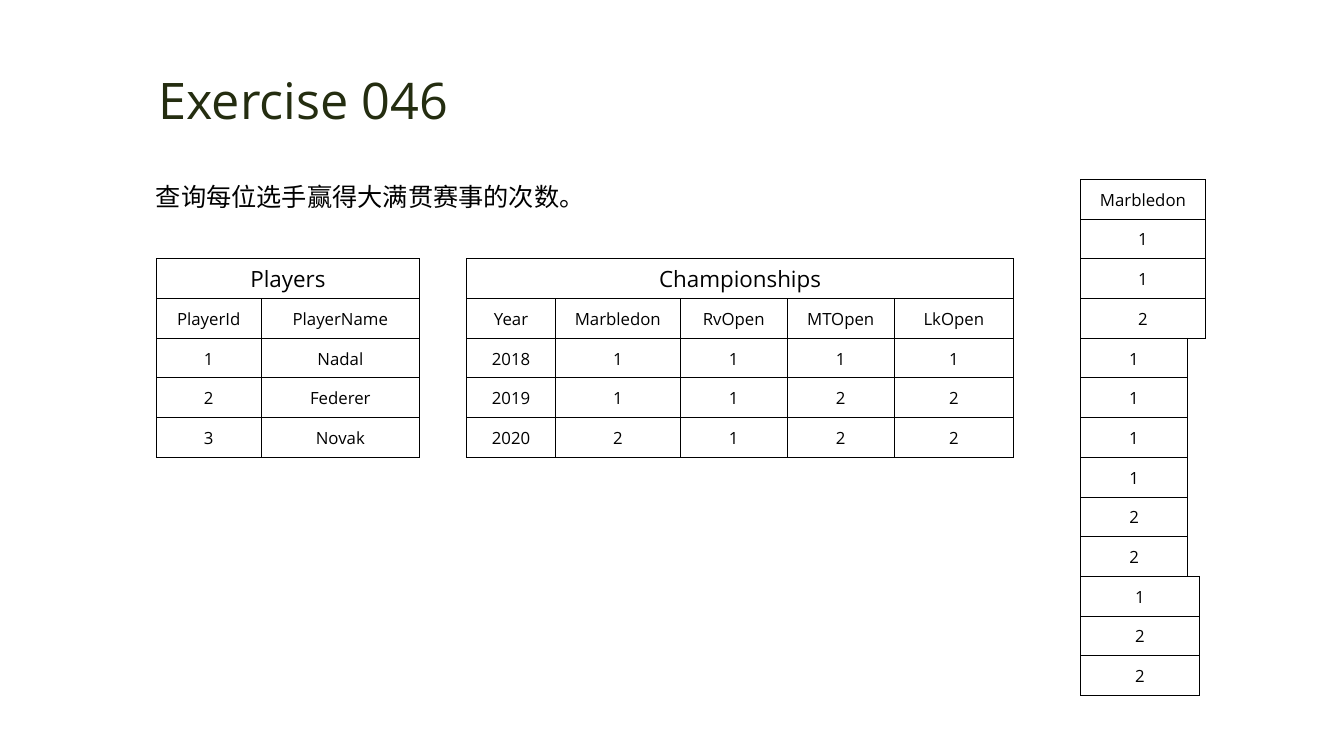
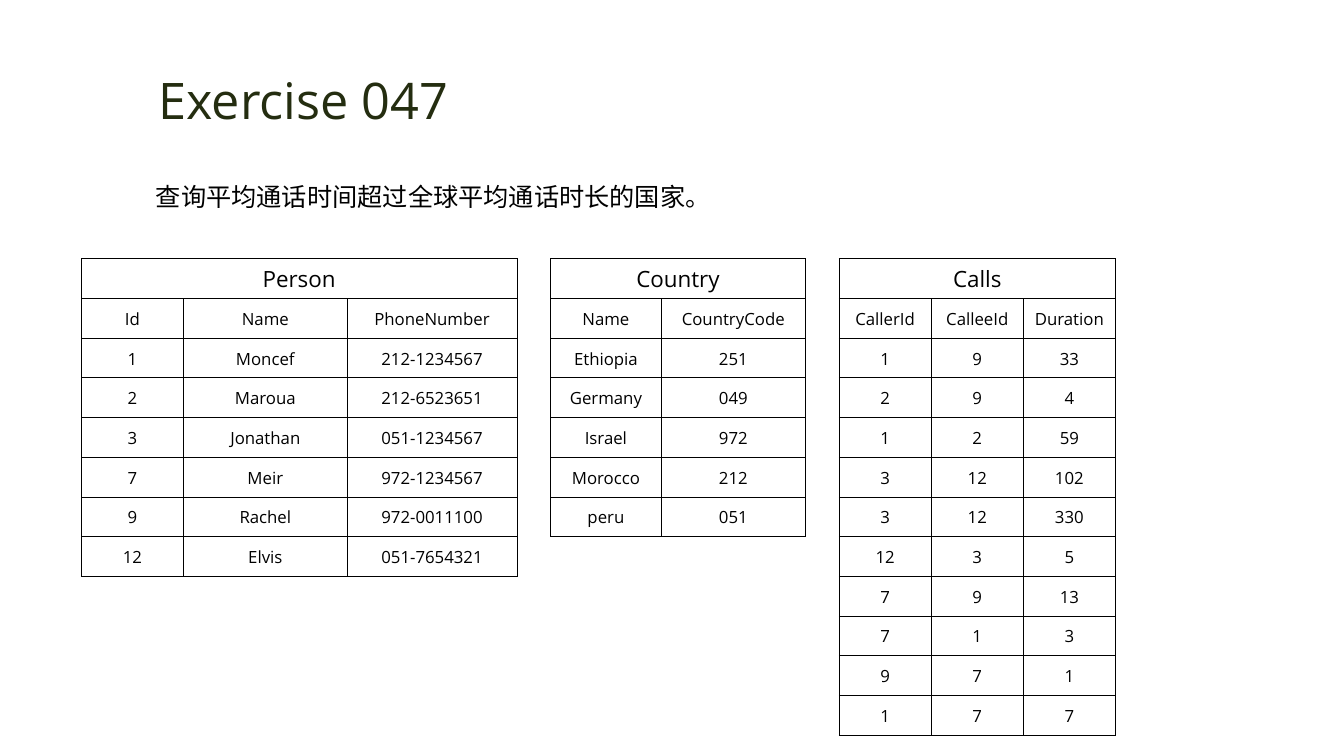
"""Build two SQL exercise slides with their sample tables."""
from lxml.etree import fromstring
from pptx import Presentation
from pptx.dml.color import RGBColor
from pptx.enum.text import MSO_ANCHOR, MSO_AUTO_SIZE, PP_ALIGN
from pptx.oxml.ns import nsdecls
from pptx.util import Cm, Inches, Pt

FONT = "Open Sans"
OLIVE = RGBColor(0x24, 0x2D, 0x10)
BLACK = RGBColor(0, 0, 0)
GRID = Cm(1)
TABLE_TOP = 6.52
BORDER_WIDTH = Pt(0.5)
CELL_INSET = Inches(0.01)

PLAYERS = [
    ("PlayerId", "PlayerName"),
    ("1", "Nadal"),
    ("2", "Federer"),
    ("3", "Novak"),
]
CHAMPIONSHIPS = [
    ("Year", "Marbledon", "RvOpen", "MTOpen", "LkOpen"),
    ("2018", "1", "1", "1", "1"),
    ("2019", "1", "1", "2", "2"),
    ("2020", "2", "1", "2", "2"),
]
PERSON = [
    ("Id", "Name", "PhoneNumber"),
    ("1", "Moncef", "212-1234567"),
    ("2", "Maroua", "212-6523651"),
    ("3", "Jonathan", "051-1234567"),
    ("7", "Meir", "972-1234567"),
    ("9", "Rachel", "972-0011100"),
    ("12", "Elvis", "051-7654321"),
]
COUNTRY = [
    ("Name", "CountryCode"),
    ("Ethiopia", "251"),
    ("Germany", "049"),
    ("Israel", "972"),
    ("Morocco", "212"),
    ("peru", "051"),
]
CALLS = [
    ("CallerId", "CalleeId", "Duration"),
    ("1", "9", "33"),
    ("2", "9", "4"),
    ("1", "2", "59"),
    ("3", "12", "102"),
    ("3", "12", "330"),
    ("12", "3", "5"),
    ("7", "9", "13"),
    ("7", "1", "3"),
    ("9", "7", "1"),
    ("1", "7", "7"),
]
CHAMPIONSHIP_WIDTHS = (2.23, 3.15, 2.69, 2.7, 3)


def cells(count):
    """Turn a number of grid units into a length."""
    return round(count * GRID)


def write(frame, text, size=12, color=BLACK, align=PP_ALIGN.CENTER, spacing=None):
    """Put formatted text into a text frame."""
    paragraph = frame.paragraphs[0]
    paragraph.alignment = align
    paragraph.line_spacing = spacing
    run = paragraph.add_run()
    run.text = text
    run.font.name = FONT
    run.font.size = Pt(size)
    run.font.color.rgb = color


def add_text(slide, place, text, wrap=True, **style):
    """Add a text box at a place given in grid units."""
    frame = slide.shapes.add_textbox(*map(cells, place)).text_frame
    frame.word_wrap = wrap
    frame.auto_size = MSO_AUTO_SIZE.SHAPE_TO_FIT_TEXT
    write(frame, text, **style)


def outline(cell):
    """Draw thin black borders round a cell and clear its fill."""
    cell.fill.background()
    properties = cell._tc.get_or_add_tcPr()
    for position, side in enumerate(("lnL", "lnR", "lnT", "lnB")):
        properties.insert(position, fromstring(
            f'<a:{side} {nsdecls("a")} w="{BORDER_WIDTH}"><a:solidFill>'
            f'<a:srgbClr val="{BLACK}"/></a:solidFill></a:{side}>'))


def add_data(slide, left, top, widths, rows, title=None):
    """Add a bordered table, with a merged title row if one is given."""
    if title:
        rows = [(title,) + ("",) * (len(widths) - 1), *rows]
    table = slide.shapes.add_table(
        len(rows), len(widths), cells(left), cells(top),
        cells(sum(widths)), cells(len(rows))).table
    table.first_row = table.horz_banding = False
    for column, width in zip(table.columns, widths):
        column.width = cells(width)
    if title:
        table.cell(0, 0).merge(table.cell(0, len(widths) - 1))
    for row_index, values in enumerate(rows):
        table.rows[row_index].height = cells(1)
        for column_index, value in enumerate(values):
            cell = table.cell(row_index, column_index)
            cell.vertical_anchor = MSO_ANCHOR.MIDDLE
            cell.margin_left = cell.margin_right = cell.margin_top = CELL_INSET
            cell.margin_bottom = 0
            outline(cell)
            if value:
                write(cell.text_frame, value,
                      size=16 if title and row_index == 0 else 12)


def add_tables_in_row(slide, left, gap, tables):
    """Set titled tables side by side with equal gaps."""
    for title, widths, rows in tables:
        add_data(slide, left, TABLE_TOP, widths, rows, title)
        left += sum(widths) + gap


def add_winner_stack(slide, left, top):
    """Stack the winners of each tournament into one column."""
    tournaments = list(zip(*CHAMPIONSHIPS))[1:]
    for index, (width, winners) in enumerate(zip(CHAMPIONSHIP_WIDTHS[1:], tournaments)):
        shown = winners if index == 0 else winners[1:]
        add_data(slide, left, top, (width,), [(winner,) for winner in shown])
        top += len(shown)


def add_exercise(deck, number, task, task_width):
    """Add a blank slide with the exercise title and its task."""
    slide = deck.slides.add_slide(deck.slide_layouts[6])
    add_text(slide, (3.53, 1.61, 8.23, 1.8), f"Exercise {number}",
             wrap=False, size=36, color=OLIVE)
    add_text(slide, (3.68, 4.06, task_width, 1.3), task,
             size=18, align=PP_ALIGN.LEFT, spacing=1.5)
    return slide


def main():
    """Build and save the deck."""
    deck = Presentation()
    deck.slide_width, deck.slide_height = Inches(13.33), Inches(7.5)

    wins = add_exercise(deck, "046", "查询每位选手赢得大满贯赛事的次数。", 13.28)
    add_tables_in_row(wins, 3.94, 1.19, [
        ("Players", (2.64, 3.99), PLAYERS),
        ("Championships", CHAMPIONSHIP_WIDTHS, CHAMPIONSHIPS),
    ])
    add_winner_stack(wins, 27.22, TABLE_TOP - 2)

    calls = add_exercise(deck, "047", "查询平均通话时间超过全球平均通话时长的国家。", 26.67)
    add_tables_in_row(calls, 2.05, 0.85, [
        ("Person", (2.57, 4.13, 4.27), PERSON),
        ("Country", (2.79, 3.63), COUNTRY),
        ("Calls", (2.32,) * 3, CALLS),
    ])
    deck.save("out.pptx")


if __name__ == "__main__":
    main()
